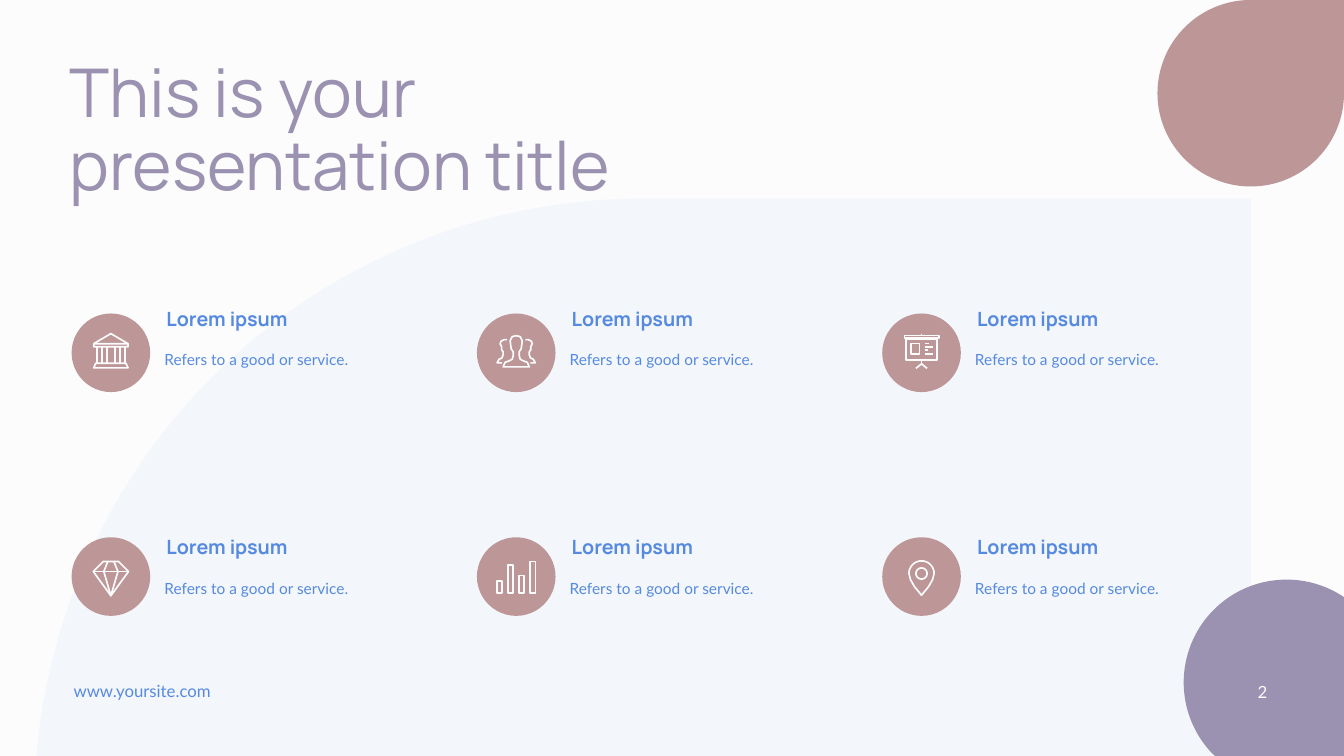
from math import cos, radians, sin

from lxml.etree import SubElement
from pptx import Presentation
from pptx.dml.color import RGBColor
from pptx.enum.shapes import MSO_SHAPE
from pptx.enum.text import MSO_ANCHOR, MSO_AUTO_SIZE, PP_ALIGN
from pptx.oxml.ns import qn
from pptx.util import Inches, Pt

WIDTH, HEIGHT = 13.33, 7.5
PAPER, ROSE, LILAC, BLUE = "FCFCFC", "BD9698", "9A92B0", "568AE0"
FIRST_COLUMN, COLUMN_STEP = 0.71, 4.02
ROWS = [(3.11, 3.04), (5.33, 5.31)]
CIRCLE_SIZE = 0.78


def colour(value):
    return RGBColor.from_string(value)


def paint(shape, fill, alpha=None):
    shape.shadow.inherit = False
    shape.line.fill.background()
    shape.fill.solid()
    shape.fill.fore_color.rgb = colour(fill)
    if alpha is not None:
        solid = shape._element.spPr.find(qn("a:solidFill"))
        SubElement(solid[0], qn("a:alpha"), val=str(alpha * 1000))


def add_shape(page, kind, left, top, size, fill, alpha=None):
    shape = page.shapes.add_shape(kind, Inches(left), Inches(top), Inches(size), Inches(size))
    paint(shape, fill, alpha)


def write(box, text, size, font, ink, bold=False, align=PP_ALIGN.LEFT,
          anchor=MSO_ANCHOR.TOP, spacing=None, insets=(0, 0)):
    frame = box.text_frame
    frame.word_wrap = True
    frame.auto_size = MSO_AUTO_SIZE.NONE
    frame.vertical_anchor = anchor
    frame.margin_left = frame.margin_right = Inches(insets[0])
    frame.margin_top = frame.margin_bottom = Inches(insets[1])
    frame.text = text
    for para in frame.paragraphs:
        para.alignment = align
        if spacing:
            para.line_spacing = spacing
        for span in para.runs:
            span.font.name = font
            span.font.size = Pt(size)
            span.font.bold = bold
            span.font.color.rgb = colour(ink)


def add_text(page, left, top, width, height, text, **style):
    box = page.shapes.add_textbox(Inches(left), Inches(top), Inches(width), Inches(height))
    write(box, text, **style)


def arc(centre_x, centre_y, radius, start=0, end=360, step=10):
    return [(centre_x + radius * cos(radians(angle)), centre_y + radius * sin(radians(angle)))
            for angle in range(start, end + 1, step)]


def rectangle(left, top, right, bottom):
    return [(left, top), (right, top), (right, bottom), (left, bottom), (left, top)]


def mirror(points):
    return [(78 - x, y) for x, y in points]


def bank():
    columns = [[(x, 33), (x, 49.5)] for x in (25, 30, 35, 43, 48, 53)]
    roof = [(22, 30), (39, 20), (56, 30), (56, 33), (22, 33), (22, 30), (56, 30)]
    base = [(24, 49.5), (54, 49.5), (56, 54), (22, 54), (24, 49.5)]
    return [roof, base] + columns


def people():
    half = [(39, 22), (43, 23), (45, 27), (44.5, 31), (44, 35), (42, 38), (42, 42),
            (43, 45.5), (46, 47), (50, 48.5), (52, 53)]
    neighbour = [(48, 26), (51, 26), (54, 27.5), (55, 30), (53.5, 33), (53.5, 36), (52, 38),
                 (52, 41), (53, 44), (56, 45.5), (58, 49), (53, 49)]
    return [half + mirror(half)[::-1], neighbour, mirror(neighbour)]


def board():
    lines = [[(42, y), (right, y)] for y, right in ((30, 46), (33.5, 50), (36.5, 45.5), (40, 50))]
    return [rectangle(22, 22, 56, 24.5), rectangle(23.5, 25.5, 54.5, 46.5),
            rectangle(28.5, 30, 37, 40), [(39, 20), (39, 22)], [(39, 46.5), (39, 50)],
            [(33.5, 54.5), (39, 50), (44.5, 54.5)]] + lines


def diamond():
    return [[(31.5, 24), (46.5, 24), (56.5, 34), (39, 58), (21.5, 34), (31.5, 24)],
            [(21.5, 34), (56.5, 34)],
            [(36, 24), (32, 34), (39, 58), (46, 34), (42, 24)]]


def bars():
    tops = (43.5, 27.5, 38, 24)
    return [rectangle(20 + 11 * index, top, 25 + 11 * index, 55) for index, top in enumerate(tops)]


def pin():
    tip = [(39, 57.5)]
    outline = tip + [(32, 49), (28, 42)] + arc(39, 36, 12.5, 180, 360) + [(50, 42), (46, 49)] + tip
    return [outline, arc(39, 36, 5.5)]


def add_icon(page, left, top, strokes):
    placed = [[(Inches(left + x / 100), Inches(top + y / 100)) for x, y in stroke]
              for stroke in strokes]
    builder = page.shapes.build_freeform(*placed[0][0])
    for index, stroke in enumerate(placed):
        if index:
            builder.move_to(*stroke[0])
        builder.add_line_segments(stroke[1:], close=stroke[0] == stroke[-1])
    icon = builder.convert_to_shape()
    icon.shadow.inherit = False
    icon.fill.background()
    icon.line.color.rgb = colour(PAPER)
    icon.line.width = Pt(1.2)


def add_feature(page, left, circle_top, text_top, strokes):
    add_text(page, left + 0.83, text_top + 0.35, 2.72, 0.29, "Refers to a good or service.",
             size=11, font="Lato", ink=BLUE, spacing=Pt(16.1), insets=(0.09, 0.04))
    add_text(page, left + 0.94, text_top, 2.98, 0.33, "Lorem ipsum",
             size=14, font="Manrope", ink=BLUE, bold=True)
    add_shape(page, MSO_SHAPE.OVAL, left, circle_top, CIRCLE_SIZE, ROSE)
    add_icon(page, left, circle_top, strokes)


def add_backdrop(page):
    page.background.fill.solid()
    page.background.fill.fore_color.rgb = colour(PAPER)
    add_shape(page, MSO_SHAPE.TEAR, 11.48, 0, 1.85, ROSE)
    add_shape(page, MSO_SHAPE.TEAR, 0.34, 1.97, 12.07, BLUE, alpha=5)
    corner = [(Inches(min(x, WIDTH)), Inches(min(y, HEIGHT)))
              for x, y in arc(12.76, 6.77, 1.02, step=2)]
    builder = page.shapes.build_freeform(*corner[0])
    builder.add_line_segments(corner[1:])
    paint(builder.convert_to_shape(), LILAC)


def add_title(page, left, top, width, height):
    title = page.shapes.title
    title.left, title.top = Inches(left), Inches(top)
    title.width, title.height = Inches(width), Inches(height)
    write(title, "This is your\npresentation title", size=48, font="Manrope", ink=LILAC,
          spacing=0.9)


def add_footer(page):
    add_text(page, 0.73, 6.75, 2.71, 0.2, "www.yoursite.com", size=12, font="Lato", ink=BLUE)
    add_text(page, 9.67, 6.66, 3, 0.4, "2", size=12, font="Lato", ink=PAPER,
             align=PP_ALIGN.RIGHT, anchor=MSO_ANCHOR.MIDDLE, insets=(0.1, 0.05))


def main():
    deck = Presentation()
    deck.slide_width, deck.slide_height = Inches(WIDTH), Inches(HEIGHT)
    page = deck.slides.add_slide(deck.slide_layouts[5])
    add_backdrop(page)
    add_title(page, 0.69, 0.59, 10.7, 1.58)
    icons = [bank(), people(), board(), diamond(), bars(), pin()]
    for index, strokes in enumerate(icons):
        row, column = divmod(index, 3)
        circle_top, text_top = ROWS[row]
        add_feature(page, FIRST_COLUMN + column * COLUMN_STEP, circle_top, text_top, strokes)
    add_footer(page)
    deck.save("out.pptx")


if __name__ == "__main__":
    main()
